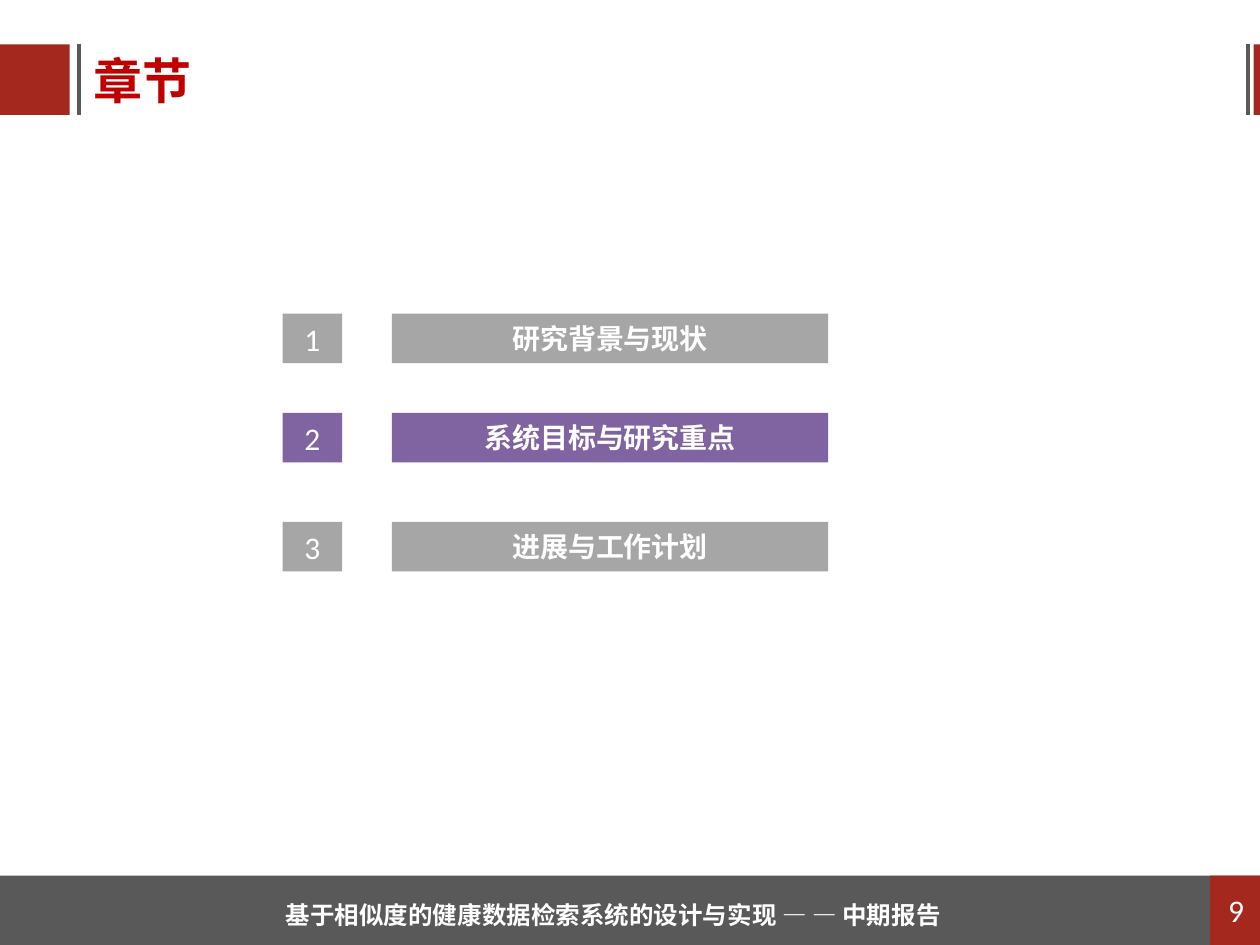
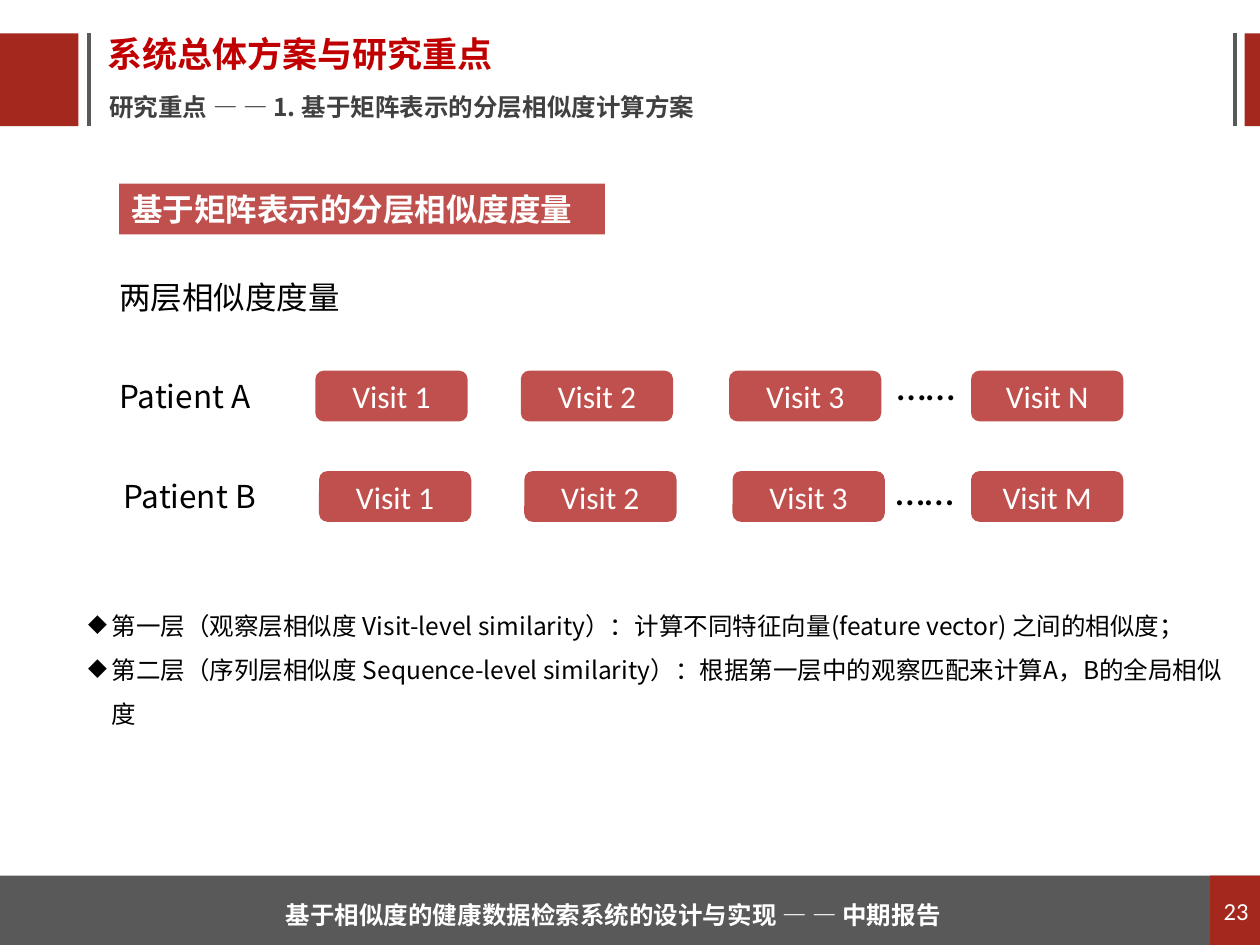
from lxml import etree
from pptx import Presentation
from pptx.dml.color import RGBColor
from pptx.enum.shapes import MSO_CONNECTOR, MSO_SHAPE
from pptx.enum.text import MSO_ANCHOR, MSO_AUTO_SIZE, PP_ALIGN
from pptx.oxml.ns import qn
from pptx.util import Pt

BRICK = RGBColor(0xA5, 0x28, 0x1E)
TITLE_RED = RGBColor(0xC0, 0x00, 0x00)
CORAL = RGBColor(0xC0, 0x50, 0x4D)
PURPLE = RGBColor(0x80, 0x64, 0xA2)
SILVER = RGBColor(0xA6, 0xA6, 0xA6)
GRAPHITE = RGBColor(0x59, 0x59, 0x59)
CHARCOAL = RGBColor(0x40, 0x40, 0x40)
BLACK = RGBColor(0x00, 0x00, 0x00)
WHITE = RGBColor(0xFF, 0xFF, 0xFF)

LATIN = "Calibri"
HAN = "Noto Sans CJK SC"
FOOTER = "基于相似度的健康数据检索系统的设计与实现 — — 中期报告"


def add_block(slide, box, fill, kind=MSO_SHAPE.RECTANGLE):
    """Add a filled preset shape without outline or shadow."""
    shape = slide.shapes.add_shape(kind, *map(Pt, box))
    shape.shadow.inherit = False
    shape.fill.solid()
    shape.fill.fore_color.rgb = fill
    shape.line.fill.background()
    return shape


def write(shape, lines, size, color, font=HAN, bold=False, centered=False,
          wrap=False, spacing=None, bullet=None):
    """Fill a shape with one paragraph per line; centred text keeps the shape's size."""
    frame = shape.text_frame
    frame.text = lines
    frame.word_wrap = wrap or centered
    frame.vertical_anchor = MSO_ANCHOR.MIDDLE if centered else MSO_ANCHOR.TOP
    if not centered:
        frame.auto_size = MSO_AUTO_SIZE.SHAPE_TO_FIT_TEXT
    for paragraph in frame.paragraphs:
        paragraph.alignment = PP_ALIGN.CENTER if centered else PP_ALIGN.LEFT
        if spacing:
            paragraph.line_spacing = spacing
        if bullet:
            properties = paragraph._p.get_or_add_pPr()
            properties.set("marL", str(Pt(13.5)))
            properties.set("indent", str(Pt(-13.5)))
            etree.SubElement(properties, qn("a:buChar"), char=bullet)
        for run in paragraph.runs:
            run.font.size = Pt(size)
            run.font.bold = bold
            run.font.color.rgb = color
            run.font.name = font
            east_asian = etree.SubElement(run._r.get_or_add_rPr(), qn("a:ea"))
            east_asian.set("typeface", font)
    return frame


presentation = Presentation()
presentation.slide_width = Pt(720)
presentation.slide_height = Pt(540)
blank = presentation.slide_layouts[6]

# Header marks, title and footer of each slide
frames = [
    dict(title="章节", title_box=(53.3, 28.8, 56.9, 33.8), title_size=28,
         top=25.4, height=40.3, blocks=((0, 39.8), (716.4, 5)), rules=(45.2, 713.2),
         number="9", number_size=18),
    dict(title="系统总体方案与研究重点", title_box=(61.2, 18.7, 222.5, 24.5), title_size=20,
         top=19.1, height=53, blocks=((0, 44.9), (711.2, 9.4)), rules=(51, 705.6),
         number="23", number_size=14),
]
slides = []
for frame in frames:
    slide = presentation.slides.add_slide(blank)
    slides.append(slide)
    top, height = frame["top"], frame["height"]
    for left, width in frame["blocks"]:
        add_block(slide, (left, top, width, height), BRICK)
    for x in frame["rules"]:
        rule = slide.shapes.add_connector(
            MSO_CONNECTOR.STRAIGHT, Pt(x), Pt(top), Pt(x), Pt(top + height))
        rule.line.color.rgb = GRAPHITE
        rule.line.width = Pt(2.25)
        etree.SubElement(rule._element.spPr, qn("a:effectLst"))

    title = slide.shapes.add_textbox(*map(Pt, frame["title_box"]))
    title_frame = write(title, frame["title"], frame["title_size"], TITLE_RED, bold=True)
    title_frame.margin_left = title_frame.margin_right = 0
    title_frame.margin_top = title_frame.margin_bottom = 0

    add_block(slide, (-2, 500.4, 723.6, 39.6), GRAPHITE)
    page = add_block(slide, (691.6, 500.4, 29.6, 39.6), BRICK)
    write(page, frame["number"], frame["number_size"], WHITE, LATIN, centered=True)
    footer = slide.shapes.add_textbox(Pt(156.2), Pt(502.6), Pt(396.7), Pt(32.4))
    write(footer, FOOTER, 14, WHITE, bold=True, spacing=1.5)

chapter_slide, method_slide = slides

# Chapter list, with the current chapter in purple
chapters = [
    ("研究背景与现状", 179.3, SILVER),
    ("系统目标与研究重点", 236, PURPLE),
    ("进展与工作计划", 298.3, SILVER),
]
for number, (chapter, top, fill) in enumerate(chapters, 1):
    number_box = add_block(chapter_slide, (161.5, top, 34, 28.3), fill)
    write(number_box, str(number), 18, WHITE, LATIN, centered=True)
    chapter_box = add_block(chapter_slide, (224, top, 249.3, 28.3), fill)
    write(chapter_box, chapter, 16, WHITE, bold=True, centered=True)

# Two-level similarity
subtitle = method_slide.shapes.add_textbox(Pt(55.4), Pt(49), Pt(373), Pt(24.5))
write(subtitle, "研究重点 — — 1. 基于矩阵表示的分层相似度计算方案", 14, CHARCOAL,
      bold=True, wrap=True)
heading = add_block(method_slide, (68, 104.9, 277.7, 29.1), CORAL)
write(heading, "基于矩阵表示的分层相似度度量", 18, WHITE, bold=True)
lead = method_slide.shapes.add_textbox(Pt(61.2), Pt(155.5), Pt(141.8), Pt(29))
write(lead, "两层相似度度量", 18, BLACK)

patients = [
    ("Patient A", 61.2, 93.6, 211.8, (180.2, 297.6, 416.6, 554.9), "N", (505.4, 201.6)),
    ("Patient B", 63.4, 92.2, 269.2, (182.3, 299.6, 418.6, 554.9), "M", (504.7, 261.4)),
]
for patient, label_left, label_width, top, visit_lefts, last, dots_at in patients:
    label = method_slide.shapes.add_textbox(
        Pt(label_left), Pt(top), Pt(label_width), Pt(29))
    write(label, patient, 18, BLACK)
    for left, visit in zip(visit_lefts, ("1", "2", "3", last)):
        visit_box = add_block(method_slide, (left, top, 87, 29), CORAL,
                              MSO_SHAPE.ROUNDED_RECTANGLE)
        write(visit_box, f"Visit {visit}", 18, WHITE, LATIN, centered=True)
    dots = method_slide.shapes.add_textbox(*map(Pt, dots_at), Pt(48.2), Pt(36))
    write(dots, "……", 24, BLACK, LATIN)

levels = method_slide.shapes.add_textbox(Pt(43.2), Pt(337), Pt(663.1), Pt(83.5))
write(levels,
      "第一层（观察层相似度 Visit-level similarity）：计算不同特征向量(feature vector) 之间的相似度；\n"
      "第二层（序列层相似度 Sequence-level similarity）：根据第一层中的观察匹配来计算A，B的全局相似度",
      14, BLACK, wrap=True, spacing=1.5, bullet="◆")

presentation.save("out.pptx")
